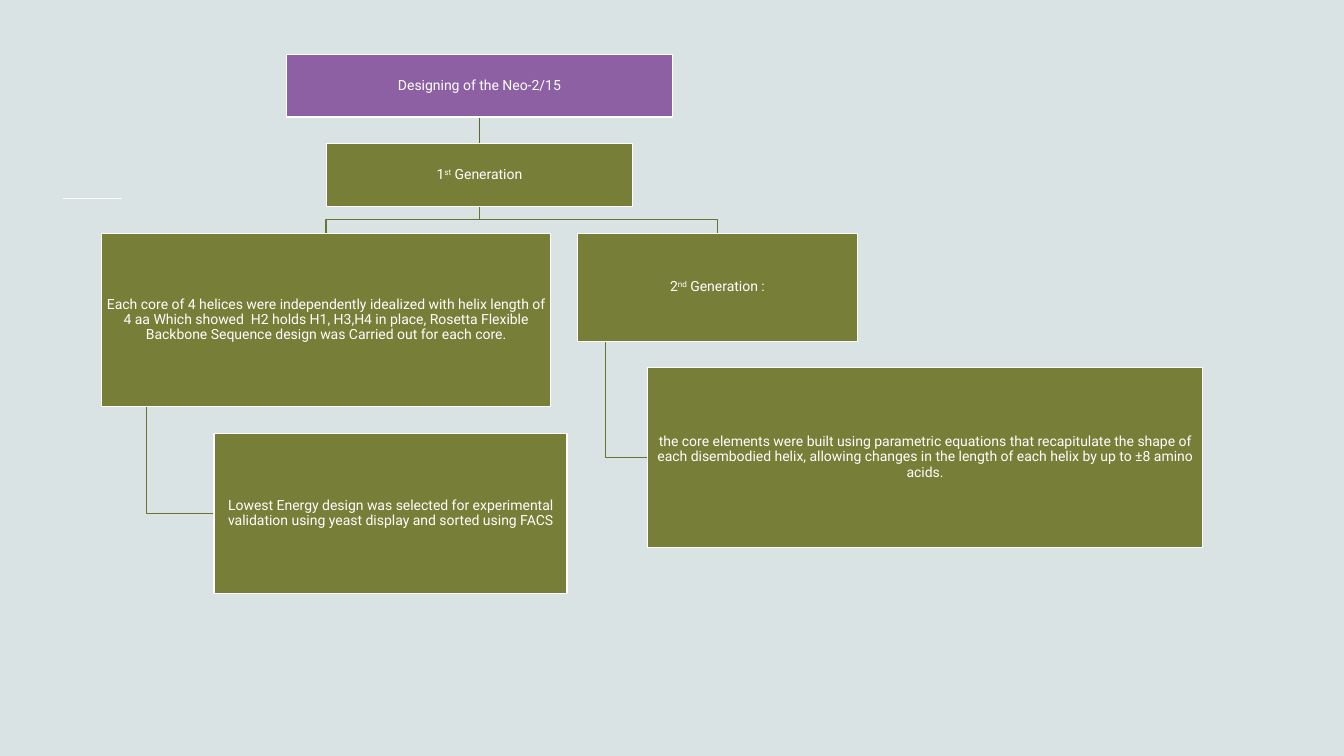
import pptx
import pptx.dml.color
import pptx.enum.shapes
import pptx.enum.text
import pptx.oxml
import pptx.oxml.ns
import pptx.util

Pt = pptx.util.Pt
BACKGROUND = "DAE3E3"
PURPLE = "8D5FA3"
OLIVE = "767E37"
BRANCH = "6B7232"
TRUNK = "5E652C"
WHITE = "FFFFFF"
LINE_WIDTH = 0.85


def paint(color_format, color):
    color_format.rgb = pptx.dml.color.RGBColor.from_string(color)


def set_fill(fill, color):
    fill.solid()
    paint(fill.fore_color, color)


def set_line(line, color, width=LINE_WIDTH):
    set_fill(line.fill, color)
    line.width = Pt(width)


def add_straight(slide, start, end, color, width=LINE_WIDTH):
    connector = slide.shapes.add_connector(
        pptx.enum.shapes.MSO_CONNECTOR.STRAIGHT, *map(Pt, start + end))
    set_line(connector.line, color, width)
    properties = connector._element.spPr
    properties.append(properties.makeelement(pptx.oxml.ns.qn("a:effectLst"), {}))


def add_elbow(slide, points):
    start, *others = [(Pt(x), Pt(y)) for x, y in points]
    builder = slide.shapes.build_freeform(*start)
    builder.add_line_segments(others, close=False)
    shape = builder.convert_to_shape()
    shape.shadow.inherit = False
    shape.fill.background()
    set_line(shape.line, BRANCH)


def add_fork(slide, parent, child):
    middle = (bottom(parent) + child[1]) / 2
    add_elbow(slide, [(center(parent), bottom(parent)), (center(parent), middle),
                      (center(child), middle), (center(child), child[1])])


def add_hanging_branch(slide, parent, child):
    stem = parent[0] + parent[2] / 10
    child_middle = child[1] + child[3] / 2
    add_elbow(slide, [(stem, bottom(parent)), (stem, child_middle), (child[0], child_middle)])


def center(box):
    return box[0] + box[2] / 2


def bottom(box):
    return box[1] + box[3]


def add_run(paragraph, text, superscript=False):
    run = paragraph.add_run()
    run.text = text
    run.font.name = "Roboto"
    run.font.size = Pt(10)
    paint(run.font.color, WHITE)
    if superscript:
        run._r.get_or_add_rPr().set("baseline", "30000")


def add_box(slide, box, color, text, ordinal="", rest=""):
    shape = slide.shapes.add_shape(pptx.enum.shapes.MSO_SHAPE.RECTANGLE, *map(Pt, box))
    shape.shadow.inherit = False
    set_fill(shape.fill, color)
    set_line(shape.line, WHITE)
    frame = shape.text_frame
    frame.word_wrap = True
    frame.vertical_anchor = pptx.enum.text.MSO_ANCHOR.MIDDLE
    frame.margin_left = frame.margin_right = Pt(0.7)
    frame.margin_top = frame.margin_bottom = Pt(0.7)
    paragraph = frame.paragraphs[0]
    paragraph.alignment = pptx.enum.text.PP_ALIGN.CENTER
    paragraph.line_spacing = 0.9
    add_run(paragraph, text)
    if ordinal:
        add_run(paragraph, ordinal, superscript=True)
        add_run(paragraph, rest)


def main():
    presentation = pptx.Presentation()
    presentation.slide_width = Pt(960)
    presentation.slide_height = Pt(540)
    slide = presentation.slides.add_slide(presentation.slide_layouts[6])
    set_fill(slide.background.fill, BACKGROUND)

    design = (204.6, 38.9, 275.7, 44.8)
    first_generation = (233.3, 102.7, 218.3, 44.8)
    cores = (72.6, 166.6, 320.5, 123.7)
    lowest_energy = (152.9, 309.4, 252.2, 114.5)
    second_generation = (412.5, 166.6, 200, 77.3)
    parametric = (462.5, 262.6, 396.5, 128.2)

    add_straight(slide, (45, 141.6), (87.5, 141.6), WHITE, 1)
    add_hanging_branch(slide, second_generation, parametric)
    add_fork(slide, first_generation, second_generation)
    add_hanging_branch(slide, cores, lowest_energy)
    add_fork(slide, first_generation, cores)
    add_straight(slide, (center(design), bottom(design)),
                 (center(design), first_generation[1]), TRUNK)

    add_box(slide, design, PURPLE, "Designing of the Neo-2/15")
    add_box(slide, first_generation, OLIVE, "1", "st", " Generation")
    add_box(slide, cores, OLIVE,
            "Each core of 4 helices were independently idealized with helix length of 4 aa "
            "Which showed  H2 holds H1, H3,H4 in place, Rosetta Flexible Backbone Sequence "
            "design was Carried out for each core.")
    add_box(slide, lowest_energy, OLIVE,
            "Lowest Energy design was selected for experimental validation using yeast "
            "display and sorted using FACS")
    add_box(slide, second_generation, OLIVE, "2", "nd", " Generation :")
    add_box(slide, parametric, OLIVE,
            "the core elements were built using parametric equations that recapitulate the "
            "shape of each disembodied helix, allowing changes in the length of each helix "
            "by up to ±8 amino acids.")

    presentation.save("out.pptx")


if __name__ == "__main__":
    main()
